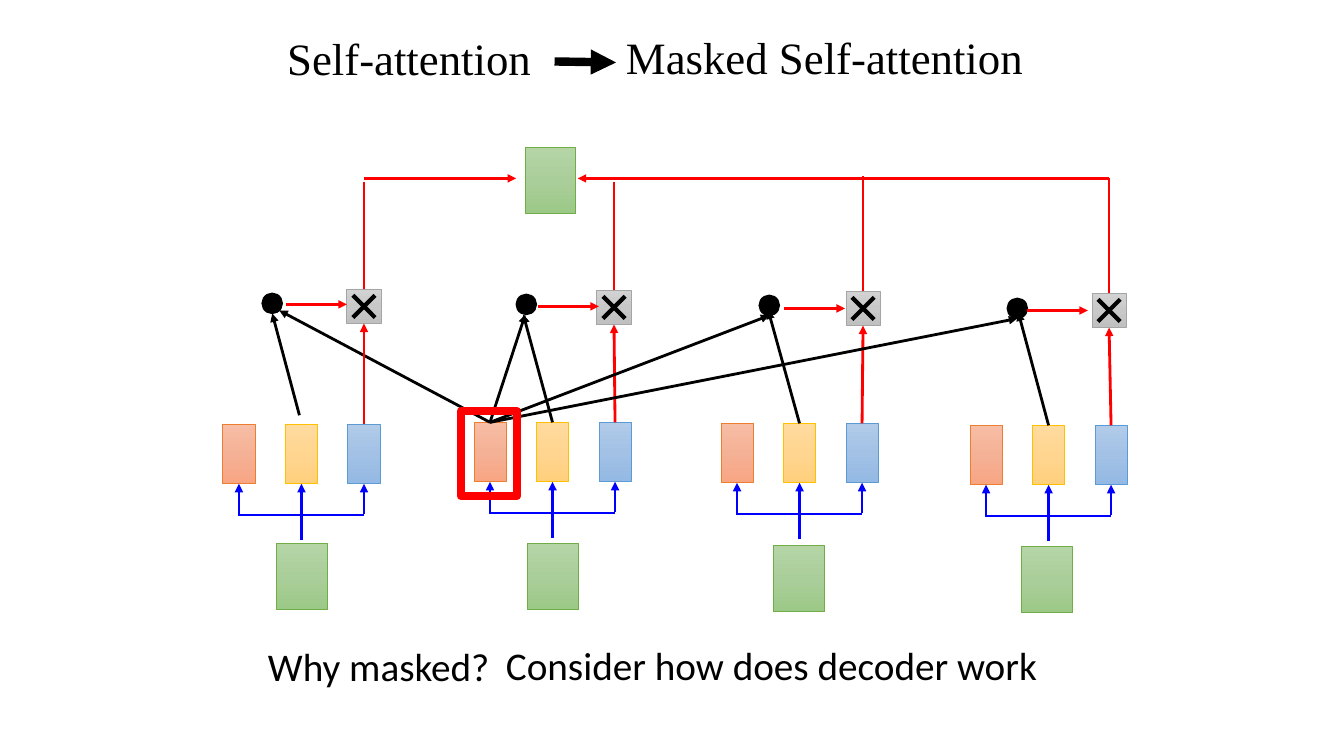
from copy import deepcopy

from pptx import Presentation
from pptx.dml.color import RGBColor
from pptx.enum.shapes import MSO_CONNECTOR as LINK, MSO_SHAPE as SHAPE
from pptx.enum.text import MSO_AUTO_SIZE as FIT
from pptx.oxml.ns import qn
from pptx.util import Pt
from lxml.etree import SubElement

PX = 9144
BLACK, RED, BLUE = "000000", "FF0000", "0000FF"
QUERY = (["F7BDA5", "F5B196", "F8A582"], "ED7D31")
KEY = (["FFDB9E", "FFD590", "FFD07C"], "FFC000")
VALUE = (["B1CBE9", "A3C1E5", "93B9E4"], "5B9BD5")
EMBEDDING = (["B5D5A7", "AACE9A", "9CC987"], "70AD47")
PRODUCT = (["D2D2D2", "C8C8C8", "C0C0C0"], "A5A5A5")
TOP, BOTTOM = 0, 2


def color(value):
    return RGBColor.from_string(value)


class Diagram:
    def __init__(self, slide):
        self.shapes = slide.shapes

    def outline(self, kind, x, y, w, h, stroke, weight):
        shape = self.shapes.add_shape(kind, x * PX, y * PX, w * PX, h * PX)
        shape.shadow.inherit = False
        shape.line.color.rgb = color(stroke)
        shape.line.width = Pt(weight)
        shape.fill.background()
        return shape

    def block(self, x, y, w, h, style):
        shades, stroke = style
        shape = self.outline(SHAPE.RECTANGLE, x, y, w, h, stroke, 0.5)
        shape.fill.gradient()
        shape.fill.gradient_angle = 270
        first = next(shape._element.spPr.iter(qn("a:gs")))
        first.addnext(deepcopy(first))
        for stop, shade, position in zip(shape.fill.gradient_stops, shades, (0, 0.5, 1)):
            stop.color.rgb = color(shade)
            stop.position = position
        return shape

    def dot(self, x, y):
        shape = self.outline(SHAPE.OVAL, x, y, 20, 20, BLACK, 1)
        shape.fill.solid()
        shape.fill.fore_color.rgb = color(BLACK)

    def line(self, start, end, stroke, weight=2, arrow=False, source=None, target=None):
        link = self.shapes.add_connector(LINK.STRAIGHT, *(n * PX for n in start + end))
        if source:
            link.begin_connect(*source)
        if target:
            link.end_connect(*target)
        link.line.color.rgb = color(stroke)
        link.line.width = Pt(weight)
        if arrow:
            SubElement(link.line._get_or_add_ln(), qn("a:tailEnd"), type="triangle")
        SubElement(link._element.spPr, qn("a:effectLst"))

    def text(self, x, y, w, h, words, font, size, wrap):
        frame = self.shapes.add_textbox(x * PX, y * PX, w * PX, h * PX).text_frame
        frame.word_wrap = wrap
        frame.auto_size = FIT.SHAPE_TO_FIT_TEXT
        run = frame.paragraphs[0].add_run()
        run.text = words
        run.font.name = font
        run.font.size = Pt(size)
        run.font.color.rgb = color(BLACK)

    def projections(self, x, y):
        boxes = [self.block(x + 62 * i, y, 32, 59, style)
                 for i, style in enumerate((QUERY, KEY, VALUE))]
        self.line((x + 15, y + 90), (x + 140, y + 90), BLUE)
        for i, (box, stem) in enumerate(zip(boxes, (89, 115, 89))):
            center = x + 16 + 62 * i
            self.line((center, y + stem), (center, y + 59), BLUE, arrow=True,
                      target=(box, BOTTOM))
        return boxes

    def product(self, x, y):
        box = self.block(x, y, 34, 34, PRODUCT)
        self.line((x + 6, y + 6), (x + 28, y + 28), BLACK, 3)
        self.line((x + 28, y + 6), (x + 6, y + 28), BLACK, 3)
        return box


def main():
    deck = Presentation()
    deck.slide_width, deck.slide_height = 1333 * PX, 750 * PX
    art = Diagram(deck.slides.add_slide(deck.slide_layouts[6]))

    art.text(275, 26, 264, 64, "Self-attention", "Times New Roman", 32, False)
    art.text(611, 25, 432, 64, "Masked Self-attention", "Times New Roman", 32, False)
    art.line((550, 61), (611, 62), BLACK, 6, arrow=True)

    tokens = [
        dict(query=(221, 421), embedding=(274, 539), dot=(260, 291), product=(344, 287),
             weight=284, key_tip=(270, 311), query_tip=(277, 308), rise=181),
        dict(query=(470, 419), embedding=(523, 539), dot=(512, 292), product=(592, 288),
             weight=534, key_tip=(519, 312), query_tip=(521, 312), rise=181),
        dict(query=(715, 420), embedding=(767, 541), dot=(753, 293), product=(839, 289),
             weight=778, key_tip=(762, 308), query_tip=(763, 313), rise=175),
        dict(query=(962, 422), embedding=(1013, 542), dot=(999, 296), product=(1083, 291),
             weight=1019, key_tip=(1010, 310), query_tip=(1009, 316), rise=177),
    ]
    projected = [art.projections(*token["query"]) for token in tokens]
    masked_query = projected[1][0]

    for i, (token, (query, key, value)) in enumerate(zip(tokens, projected)):
        x, y = token["query"]
        art.block(*token["embedding"], 51, 66, EMBEDDING)
        art.dot(*token["dot"])
        key_top = (key, TOP) if i else None
        art.line((x + 76, y - 9), token["key_tip"], BLACK, arrow=True, source=key_top)
        art.line((486, 419), token["query_tip"], BLACK, arrow=True,
                 source=(masked_query, TOP))

        left, top = token["product"]
        center = left + 17
        product = art.product(left, top)
        art.line((x + 140, y), (center, top + 34), RED, arrow=True,
                 source=(value, TOP), target=(product, BOTTOM))
        art.line((center, top), (center, token["rise"]), RED, source=(product, TOP))
        level = 302 + 2 * i
        art.line((token["weight"], level), (token["weight"] + 60, level), RED, arrow=True)

    art.block(521, 146, 50, 66, EMBEDDING)
    art.line((361, 177), (512, 177), RED, arrow=True)
    art.line((609, 177), (573, 177), RED, arrow=True)
    art.line((1100, 177), (609, 177), RED)
    art.outline(SHAPE.RECTANGLE, 457, 408, 56, 84, RED, 6)

    art.text(256, 632, 546, 57, "Why masked?", "Calibri", 28, True)
    art.text(492, 631, 633, 57, "Consider how does decoder work", "Calibri", 28, True)
    deck.save("out.pptx")


if __name__ == "__main__":
    main()
